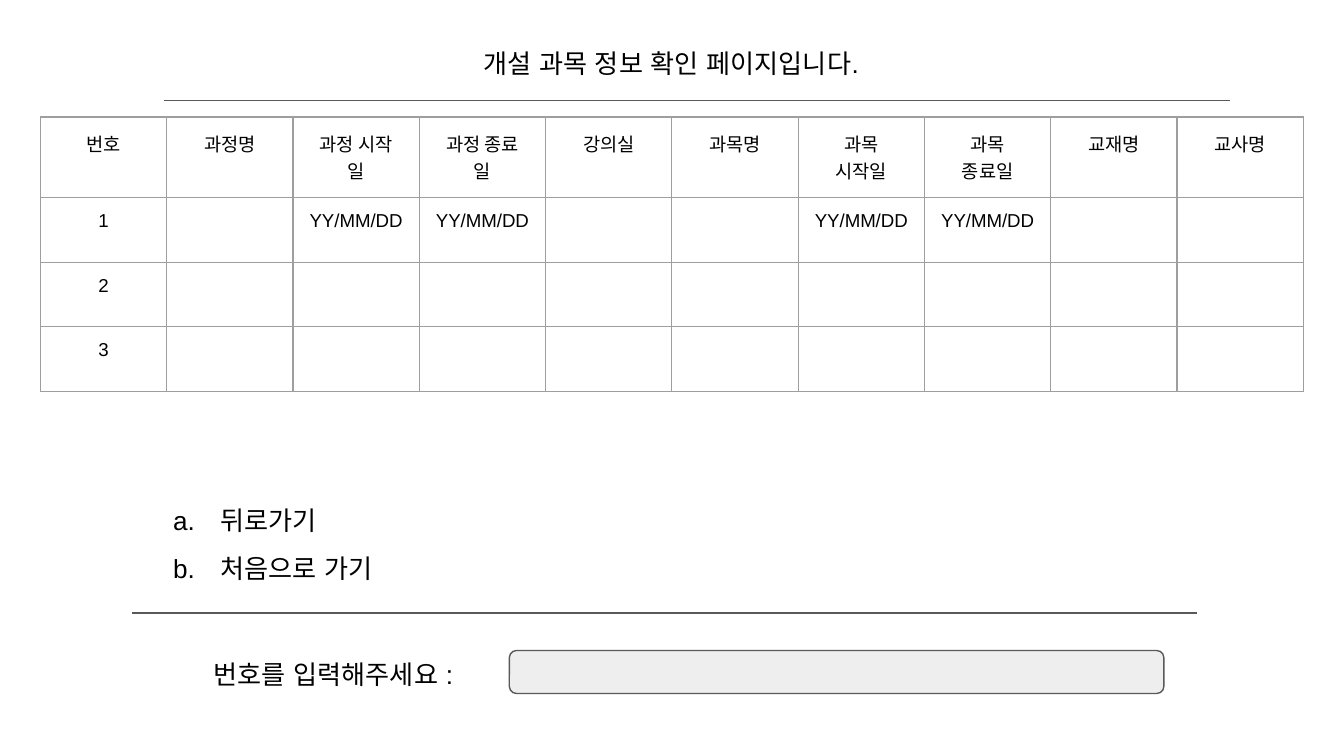
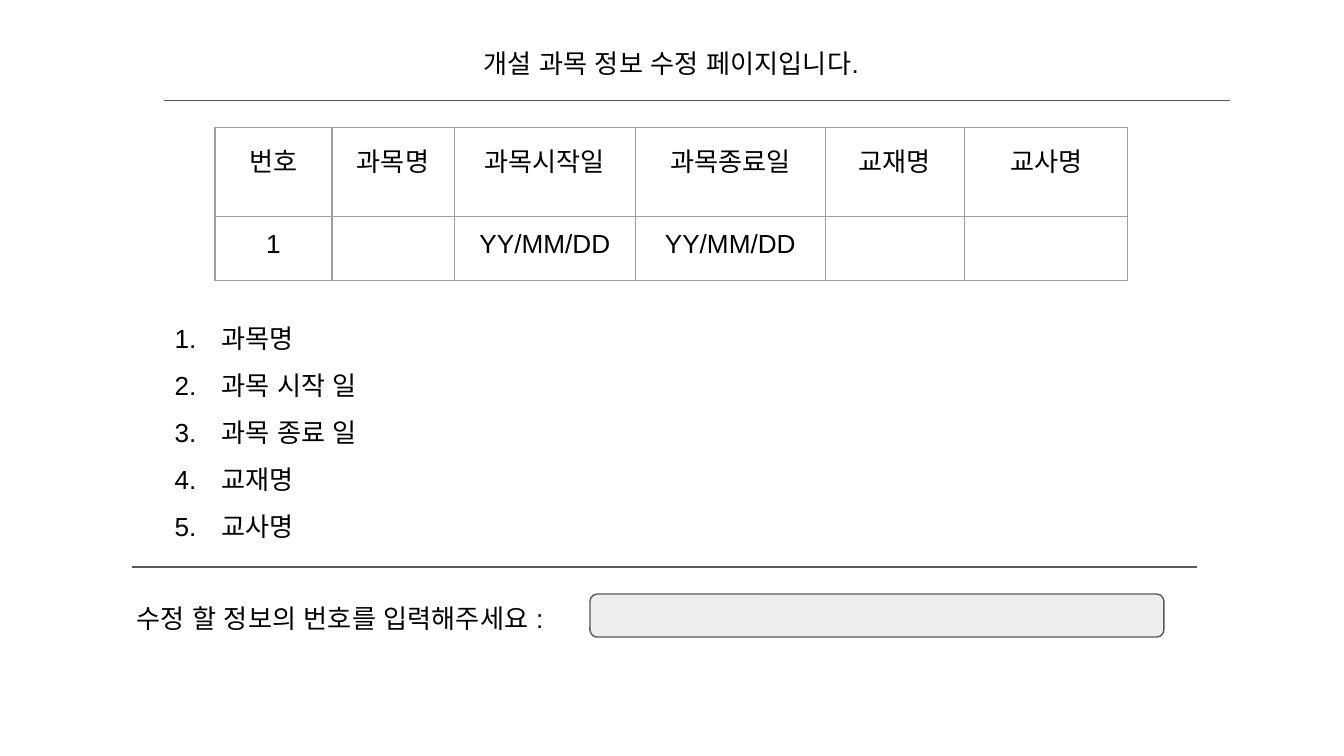
from dataclasses import dataclass

from lxml import etree
from pptx import Presentation
from pptx import util as u
from pptx.dml import color
from pptx.enum import shapes, text
from pptx.oxml import ns


@dataclass(frozen=True)
class Theme:
    font: str = "Arial"
    ink: str = "000000"
    rule: str = "595959"
    grid: str = "9E9E9E"
    field: str = "EEEEEE"
    body_size: int = 14
    small_size: int = 10
    line_width: float = 0.75
    inset: float = 0.1


THEME = Theme()
LEFT, CENTER = text.PP_ALIGN.LEFT, text.PP_ALIGN.CENTER


@dataclass(frozen=True)
class Box:
    left: float
    top: float
    width: float
    height: float

    def lengths(self) -> list:
        return [u.Inches(n) for n in (self.left, self.top, self.width, self.height)]


@dataclass(frozen=True)
class CourseTable:
    left: float
    top: float
    columns: list[float]
    heights: list[float]
    rows: list[list[str]]
    size: int


@dataclass(frozen=True)
class Menu:
    box: Box
    numbering: str
    items: list[str]


@dataclass(frozen=True)
class Prompt:
    rule_top: float
    label: str
    label_box: Box
    field_box: Box


@dataclass(frozen=True)
class CoursePage:
    title: str
    table: CourseTable
    menu: Menu
    prompt: Prompt


TITLE_BOX = Box(2.81, 0.25, 4.37, 0.7)
RULE_WIDTH = 7.93
DATE = "YY/MM/DD"

PAGES = [
    CoursePage(
        "개설 과목 정보 확인 페이지입니다.",
        CourseTable(
            0.3, 0.87, [0.94] * 10, [0.6] + [0.48] * 3,
            [
                ["번호", "과정명", "과정 시작\n일", "과정 종료\n일", "강의실",
                 "과목명", "과목\n시작일", "과목\n종료일", "교재명", "교사명"],
                ["1", "", DATE, DATE, "", "", DATE, DATE, "", ""],
                ["2"] + [""] * 9,
                ["3"] + [""] * 9,
            ],
            THEME.small_size,
        ),
        Menu(Box(1.04, 3.54, 3.28, 0.9), "alphaLcPeriod", ["뒤로가기", "처음으로 가기"]),
        Prompt(4.56, "번호를 입력해주세요 :",
               Box(1.49, 4.8, 2.19, 0.4), Box(3.79, 4.84, 4.87, 0.32)),
    ),
    CoursePage(
        "개설 과목 정보 수정 페이지입니다.",
        CourseTable(
            1.6, 0.95, [0.87, 0.91, 1.35, 1.41, 1.04, 1.21], [0.66, 0.48],
            [
                ["번호", "과목명", "과목시작일", "과목종료일", "교재명", "교사명"],
                ["1", "", DATE, DATE, "", ""],
            ],
            THEME.body_size,
        ),
        Menu(Box(1.05, 2.18, 3.28, 1.89), "arabicPeriod",
             ["과목명", "과목 시작 일", "과목 종료 일", "교재명", "교사명"]),
        Prompt(4.22, "수정 할 정보의 번호를 입력해주세요 :",
               Box(0.92, 4.38, 3.54, 0.4), Box(4.39, 4.42, 4.27, 0.32)),
    ),
]


# Text helpers
def rgb(value: str) -> color.RGBColor:
    return color.RGBColor.from_string(value)


def style_paragraph(para, size: int, align) -> None:
    para.alignment = align
    para.font.size = u.Pt(size)
    para.font.name = THEME.font
    para.font.color.rgb = rgb(THEME.ink)


def set_east_asian_font(para) -> None:
    defaults = para._p.get_or_add_pPr().find(ns.qn("a:defRPr"))
    etree.SubElement(defaults, ns.qn("a:ea"), typeface=THEME.font)


def set_margins(target) -> None:
    target.margin_left = target.margin_right = u.Inches(THEME.inset)
    target.margin_top = target.margin_bottom = u.Inches(THEME.inset)


def fill_frame(frame, content: str, align=LEFT) -> None:
    frame.word_wrap = True
    frame.auto_size = text.MSO_AUTO_SIZE.NONE
    frame.vertical_anchor = text.MSO_ANCHOR.TOP
    set_margins(frame)
    frame.text = content
    for para in frame.paragraphs:
        style_paragraph(para, THEME.body_size, align)
        set_east_asian_font(para)


def number_paragraph(para, numbering: str) -> None:
    para.line_spacing = 1.5
    properties = para._p.get_or_add_pPr()
    properties.set("marL", str(u.Inches(0.5)))
    properties.set("indent", str(u.Inches(-0.35)))
    bullet_color = etree.Element(ns.qn("a:buClr"))
    etree.SubElement(bullet_color, ns.qn("a:srgbClr"), val=THEME.ink)
    bullet = etree.Element(ns.qn("a:buAutoNum"), type=numbering)
    for element in (bullet_color, bullet):
        properties.insert_element_before(element, "a:defRPr")


# Page parts
def add_title(page, title: str) -> None:
    box = page.shapes.title
    box.left, box.top, box.width, box.height = TITLE_BOX.lengths()
    fill_frame(box.text_frame, title, CENTER)


def add_rule(page, left: float, top: float) -> None:
    rule = page.shapes.add_connector(
        shapes.MSO_CONNECTOR.STRAIGHT, u.Inches(left), u.Inches(top),
        u.Inches(left + RULE_WIDTH), u.Inches(top))
    rule.line.color.rgb = rgb(THEME.rule)
    rule.line.width = u.Pt(THEME.line_width)
    etree.SubElement(rule._element.spPr, ns.qn("a:effectLst"))


def add_borders(cell) -> None:
    properties = cell._tc.get_or_add_tcPr()
    for side in ("lnL", "lnR", "lnT", "lnB"):
        line = etree.SubElement(properties, ns.qn(f"a:{side}"),
                                w=str(u.Pt(THEME.line_width)))
        fill = etree.SubElement(line, ns.qn("a:solidFill"))
        etree.SubElement(fill, ns.qn("a:srgbClr"), val=THEME.grid)


def add_course_table(page, data: CourseTable) -> None:
    box = Box(data.left, data.top, sum(data.columns), sum(data.heights))
    table = page.shapes.add_table(
        len(data.rows), len(data.columns), *box.lengths()).table
    table.first_row = table.horz_banding = False
    for column, width in zip(table.columns, data.columns):
        column.width = u.Inches(width)
    for row, height, values in zip(table.rows, data.heights, data.rows):
        row.height = u.Inches(height)
        for cell, value in zip(row.cells, values):
            set_margins(cell)
            add_borders(cell)
            cell.fill.background()
            cell.text = value
            for para in cell.text_frame.paragraphs:
                style_paragraph(para, data.size, CENTER)


def add_menu(page, menu: Menu) -> None:
    frame = page.shapes.add_textbox(*menu.box.lengths()).text_frame
    fill_frame(frame, "\n".join(menu.items))
    for para in frame.paragraphs:
        number_paragraph(para, menu.numbering)


def add_prompt(page, prompt: Prompt) -> None:
    field = page.shapes.add_shape(
        shapes.MSO_SHAPE.ROUNDED_RECTANGLE, *prompt.field_box.lengths())
    field.shadow.inherit = False
    field.fill.solid()
    field.fill.fore_color.rgb = rgb(THEME.field)
    field.line.color.rgb = rgb(THEME.rule)
    field.line.width = u.Pt(THEME.line_width)
    label = page.shapes.add_textbox(*prompt.label_box.lengths())
    fill_frame(label.text_frame, prompt.label)


def main() -> None:
    deck = Presentation()
    # Widescreen, 16:9
    deck.slide_width = u.Inches(10)
    deck.slide_height = deck.slide_width * 9 // 16
    title_only = deck.slide_layouts.get_by_name("Title Only")
    for course_page in PAGES:
        page = deck.slides.add_slide(title_only)
        add_title(page, course_page.title)
        add_rule(page, 1.22, 0.75)
        add_course_table(page, course_page.table)
        add_rule(page, 0.98, course_page.prompt.rule_top)
        add_menu(page, course_page.menu)
        add_prompt(page, course_page.prompt)
    deck.save("out.pptx")


if __name__ == "__main__":
    main()
